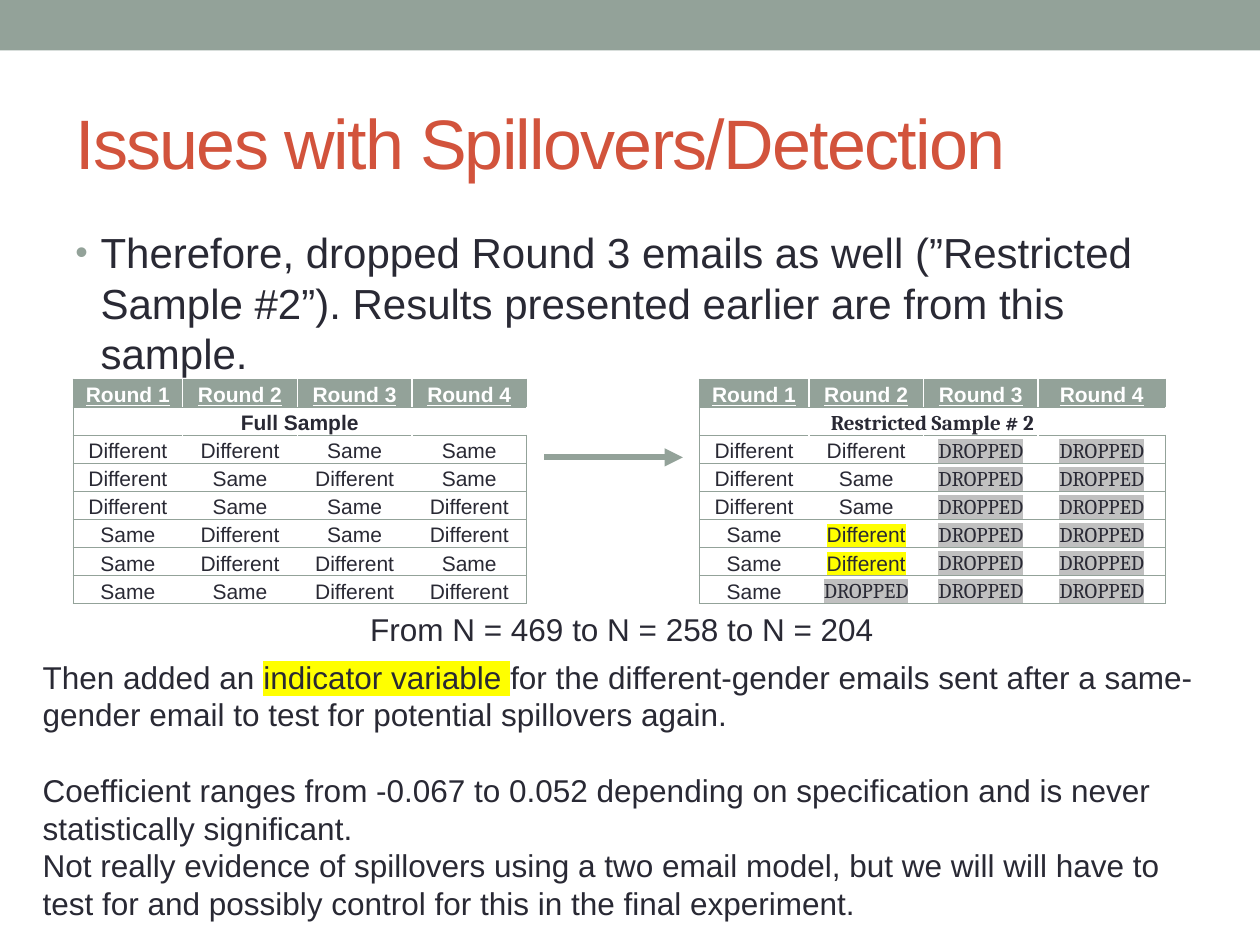
import pptx
import pptx.util
import pptx.dml.color
import pptx.enum.shapes
import pptx.enum.text
import pptx.oxml
import pptx.oxml.ns
from pptx.util import Inches

HEX = {"sage": "93A299", "brick": "D2533C", "ink": "292934",
       "white": "FFFFFF", "grey": "C0C0C0", "yellow": "FFFF00"}
ALIGN = pptx.enum.text.PP_ALIGN
ANCHOR = pptx.enum.text.MSO_ANCHOR
NS = pptx.oxml.ns.nsdecls("a")
GRID = {"D": "Different", "S": "Same", "X": "DROPPED"}
FULL = ["DDSS", "DSDS", "DSSD", "SDSD", "SDDS", "SSDD"]
LIMITED = ["DDXX", "DSXX", "DSXX", "SDXX", "SDXX", "SXXX"]


def rgb(name):
    return pptx.dml.color.RGBColor.from_string(HEX[name])


def xml(text):
    """Parse one element whose root tag ends with the NS marker."""
    return pptx.oxml.parse_xml(text.replace("NS", NS, 1))


def style(item, form):
    for key, value in form.items():
        setattr(item, key, value)


def write(para, text, size, color="ink", mark=None, face="Arial", **form):
    """Add a run, with an optional highlight colour."""
    run = para.add_run()
    run.text = text
    style(run.font, {"size": pptx.util.Pt(size), "name": face, **form})
    run.font.color.rgb = rgb(color)
    if mark:
        fill = run.font._element.find(pptx.oxml.ns.qn("a:solidFill"))
        fill.addnext(xml(f'<a:highlight NS><a:srgbClr val="{HEX[mark]}"/></a:highlight>'))
    return run


def add_text(slide, box):
    frame = slide.shapes.add_textbox(*map(Inches, box)).text_frame
    frame.word_wrap = True
    return frame


def add_band(slide, box):
    band = slide.shapes.add_shape(pptx.enum.shapes.MSO_SHAPE.RECTANGLE, *map(Inches, box))
    band.shadow.inherit = False
    band.fill.solid()
    band.fill.fore_color.rgb = rgb("sage")
    band.line.fill.background()


def add_title(slide, box, text):
    title = slide.shapes.title
    style(title, dict(zip(("left", "top", "width", "height"), map(Inches, box))))
    frame = title.text_frame
    style(frame, {"vertical_anchor": ANCHOR.MIDDLE, "word_wrap": True})
    para = frame.paragraphs[0]
    para.alignment = ALIGN.LEFT
    run = write(para, text, 40, "brick")
    run.font._element.set("spc", "-100")


def add_bullet(slide, box, text):
    para = add_text(slide, box).paragraphs[0]
    props = para._p.get_or_add_pPr()
    props.set("marL", str(Inches(0.2)))
    props.set("indent", str(Inches(-0.2)))
    for part in (f'<a:buClr NS><a:srgbClr val="{HEX["sage"]}"/></a:buClr>',
                 '<a:buSzPct NS val="85000"/>',
                 '<a:buFont NS typeface="Arial"/>',
                 '<a:buChar NS char="•"/>'):
        props.append(xml(part))
    write(para, text, 24)


def edge(cell, sides):
    """Draw the given sides of a cell; they precede its fill."""
    props = cell._tc.get_or_add_tcPr()
    for spot, side in enumerate(sides):
        props.insert(spot, xml(
            f'<a:ln{side} NS w="{pptx.util.Pt(0.75)}"><a:solidFill>'
            f'<a:srgbClr val="{HEX["sage"]}"/></a:solidFill></a:ln{side}>'))


def fill_cell(cell, text, **form):
    style(cell, {"vertical_anchor": ANCHOR.BOTTOM, "margin_top": 0, "margin_bottom": 0,
                 "margin_left": Inches(0.07), "margin_right": Inches(0.07)})
    para = cell.text_frame.paragraphs[0]
    para.alignment = ALIGN.CENTER
    write(para, text, 12, **form)


def add_rounds(slide, box, widths, head, codes, face="Arial", flags=()):
    """Table of rounds; flags lists the (row, column) spots marked yellow."""
    count = len(widths)
    table = slide.shapes.add_table(len(codes) + 2, count, *map(Inches, box)).table
    for col, width in zip(table.columns, widths):
        col.width = Inches(width)
    for row in table.rows:
        row.height = Inches(box[3] / len(table.rows))
    table.cell(1, 0).merge(table.cell(1, count - 1))
    for r in range(len(table.rows)):
        for c in range(count):
            cell = table.cell(r, c)
            if r:
                cell.fill.background()
            else:
                cell.fill.solid()
                cell.fill.fore_color.rgb = rgb("sage")
            ends = ("L" if c == 0 else "") + ("R" if c == count - 1 else "")
            edge(cell, ends + "TB")
            if r == 0:
                fill_cell(cell, f"Round {c + 1}", color="white", bold=True, underline=True)
            elif r > 1:
                code = codes[r - 2][c]
                gone = code == "X"
                mark = "grey" if gone else "yellow" if (r - 2, c) in flags else None
                fill_cell(cell, GRID[code], mark=mark, bold=False,
                          face="Cambria" if gone else "Arial")
    fill_cell(table.cell(1, 0), head, face=face, bold=True)


def add_arrow(slide, start, end):
    line = slide.shapes.add_connector(pptx.enum.shapes.MSO_CONNECTOR.STRAIGHT,
                                      *map(Inches, start + end))
    line.line.width = pptx.util.Pt(3.5)
    line.line.color.rgb = rgb("sage")
    line.line._get_or_add_ln().append(xml('<a:tailEnd NS type="triangle"/>'))
    line._element.spPr.append(xml("<a:effectLst NS/>"))


def add_notes(slide, box):
    frame = add_text(slide, box)
    first = frame.paragraphs[0]
    write(first, "Then added an ", 18)
    write(first, "indicator variable ", 18, mark="yellow")
    write(first, "for the different-gender emails sent after a same-gender email "
                 "to test for potential spillovers again.", 18)
    for text, gap in (
            ("Coefficient ranges from -0.067 to 0.052 depending on specification "
             "and is never statistically significant.", 21.5),
            ("Not really evidence of spillovers using a two email model, but we will will "
             "have to test for and possibly control for this in the final experiment.", 0)):
        para = frame.add_paragraph()
        para.space_before = pptx.util.Pt(gap)
        write(para, text, 18)


def main():
    deck = pptx.Presentation()
    style(deck, {"slide_width": Inches(10), "slide_height": Inches(7.5)})
    slide = deck.slides.add_slide(deck.slide_layouts[5])
    add_band(slide, (0, 0, 10, 0.4))
    add_title(slide, (0.5, 0.58, 9, 1.08), "Issues with Spillovers/Detection")
    add_bullet(slide, (0.5, 1.75, 9, 1.26),
               "Therefore, dropped Round 3 emails as well (”Restricted Sample #2”). "
               "Results presented earlier are from this sample.")
    add_rounds(slide, (0.58, 3.01, 3.6, 1.78), (0.87, 0.91, 0.91, 0.91),
               "Full Sample", FULL)
    add_rounds(slide, (5.55, 3.01, 3.7, 1.78), (0.87, 0.91, 0.91, 1.01),
               "Restricted Sample # 2", LIMITED, "Cambria", ((3, 1), (4, 1)))
    add_arrow(slide, (4.32, 3.63), (5.42, 3.63))
    write(add_text(slide, (2.84, 4.79, 4.36, 0.4)).paragraphs[0],
          "From N = 469 to N = 258 to N = 204", 18)
    add_notes(slide, (0.24, 5.17, 9.49, 2.22))
    deck.save("out.pptx")


if __name__ == "__main__":
    main()
